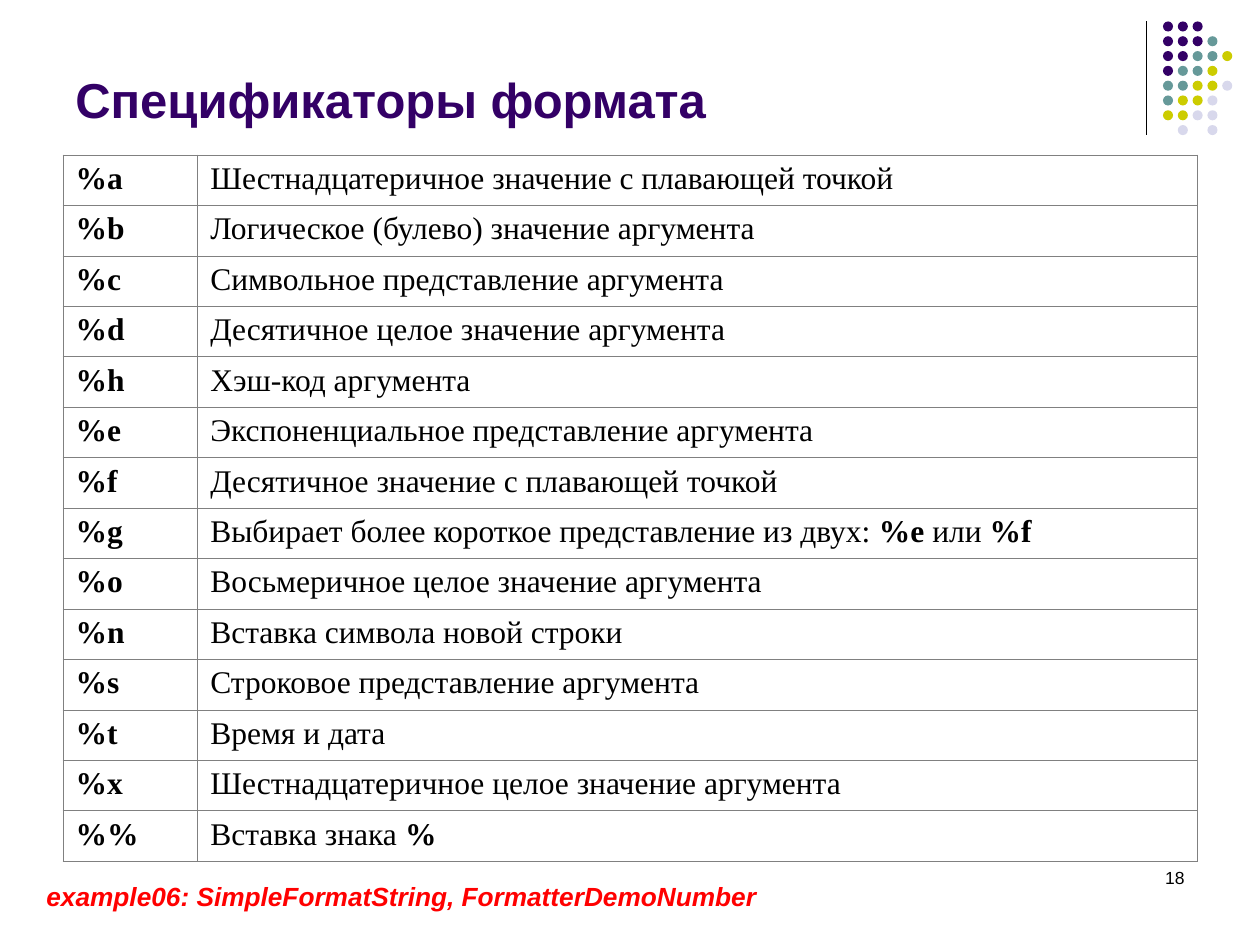
from dataclasses import dataclass

import pptx
import pptx.dml.color
import pptx.enum.shapes
import pptx.enum.text
import pptx.oxml
import pptx.oxml.ns
import pptx.slide
import pptx.table
import pptx.text.text
import pptx.util

Inches = pptx.util.Inches
Pt = pptx.util.Pt
Align = pptx.enum.text.PP_ALIGN
Anchor = pptx.enum.text.MSO_ANCHOR

DOT_ROWS = ["PPP", "PPPT", "PPTTY", "PTTY", "TTYYL", "TYYL", "YYLL", " L L"]
DOT_COLORS = {"P": "330066", "T": "669999", "Y": "CCCC00", "L": "D8D8EC"}
DOT_LEFT, DOT_TOP, DOT_SIZE = 9.23, 0.17, 0.08
DOT_PITCH = 0.47 / 4
COLUMN_WIDTHS = [1.07, 7.93]
ROW_HEIGHT = 0.4


@dataclass
class Specifier:
    code: str
    meaning: str


SPECIFIERS = [
    Specifier("%a", "Шестнадцатеричное значение с плавающей точкой"),
    Specifier("%b", "Логическое (булево) значение аргумента"),
    Specifier("%c", "Символьное представление аргумента"),
    Specifier("%d", "Десятичное целое значение аргумента"),
    Specifier("%h", "Хэш-код аргумента"),
    Specifier("%e", "Экспоненциальное представление аргумента"),
    Specifier("%f", "Десятичное значение с плавающей точкой"),
    Specifier("%g", "Выбирает более короткое представление из двух: *%е *или *%f*"),
    Specifier("%o", "Восьмеричное целое значение аргумента"),
    Specifier("%n", "Вставка символа новой строки"),
    Specifier("%s", "Строковое представление аргумента"),
    Specifier("%t", "Время и дата"),
    Specifier("%x", "Шестнадцатеричное целое значение аргумента"),
    Specifier("%%", "Вставка знака *%*"),
]


def color(value: str) -> pptx.dml.color.RGBColor:
    return pptx.dml.color.RGBColor.from_string(value)


def write_text(
    frame: pptx.text.text.TextFrame,
    text: str,
    *,
    size: float,
    font: str = "Arial",
    fill: str = "000000",
    bold: bool = False,
    italic: bool = False,
    align: Align = Align.LEFT,
) -> None:
    para = frame.paragraphs[0]
    para.alignment = align
    for index, part in enumerate(text.split("*")):
        if part:
            span = para.add_run()
            span.text = part
            span.font.name = font
            span.font.size = Pt(size)
            span.font.bold = bold or index % 2 == 1
            span.font.italic = italic
            span.font.color.rgb = color(fill)


def add_text(
    page: pptx.slide.Slide,
    text: str,
    left: float,
    top: float,
    width: float,
    height: float,
    anchor: Anchor = Anchor.TOP,
    **text_format,
) -> None:
    box = page.shapes.add_textbox(Inches(left), Inches(top), Inches(width), Inches(height))
    box.text_frame.word_wrap = True
    box.text_frame.vertical_anchor = anchor
    write_text(box.text_frame, text, **text_format)


def add_corner_rule(page: pptx.slide.Slide) -> None:
    rule = page.shapes.add_connector(
        pptx.enum.shapes.MSO_CONNECTOR.STRAIGHT,
        Inches(9.1), Inches(0.17), Inches(9.1), Inches(1.07),
    )
    rule.line.color.rgb = color("000000")
    rule.line.width = Pt(0.75)
    properties = rule._element.spPr
    properties.append(pptx.oxml.parse_xml(f"<a:effectLst {pptx.oxml.ns.nsdecls('a')}/>"))


def add_dots(page: pptx.slide.Slide) -> None:
    group = page.shapes.add_group_shape()
    for row, keys in enumerate(DOT_ROWS):
        for column, key in enumerate(keys):
            if key in DOT_COLORS:
                dot = group.shapes.add_shape(
                    pptx.enum.shapes.MSO_SHAPE.OVAL,
                    Inches(DOT_LEFT + column * DOT_PITCH),
                    Inches(DOT_TOP + row * DOT_PITCH),
                    Inches(DOT_SIZE),
                    Inches(DOT_SIZE),
                )
                dot.shadow.inherit = False
                dot.fill.solid()
                dot.fill.fore_color.rgb = color(DOT_COLORS[key])
                dot.line.fill.background()


def add_borders(cell: pptx.table._Cell, line: str, points: float) -> None:
    properties = cell._tc.get_or_add_tcPr()
    for index, side in enumerate("LRTB"):
        properties.insert(index, pptx.oxml.parse_xml(
            f'<a:ln{side} {pptx.oxml.ns.nsdecls("a")} w="{Pt(points)}">'
            f'<a:solidFill><a:srgbClr val="{line}"/></a:solidFill></a:ln{side}>'
        ))


def add_specifier_table(page: pptx.slide.Slide) -> None:
    table = page.shapes.add_table(
        len(SPECIFIERS), len(COLUMN_WIDTHS), Inches(0.5), Inches(1.23),
        Inches(sum(COLUMN_WIDTHS)), Inches(ROW_HEIGHT * len(SPECIFIERS)),
    ).table
    table.first_row = False
    table.horz_banding = False
    for column, width in zip(table.columns, COLUMN_WIDTHS):
        column.width = Inches(width)
    for row, specifier in zip(table.rows, SPECIFIERS):
        row.height = Inches(ROW_HEIGHT)
        texts = [specifier.code, specifier.meaning]
        for index, (cell, text) in enumerate(zip(row.cells, texts)):
            cell.fill.background()
            add_borders(cell, "808080", 0.45)
            write_text(cell.text_frame, text, size=18, font="Times New Roman", bold=index == 0)


def main() -> None:
    deck = pptx.Presentation()
    deck.slide_width = Inches(10)
    deck.slide_height = Inches(7.5)
    page = deck.slides.add_slide(deck.slide_layouts[6])
    add_corner_rule(page)
    add_dots(page)
    add_text(page, "18", 7.17, 6.83, 2.33, 0.5, size=10, align=Align.RIGHT)
    add_text(page, "Спецификаторы формата", 0.5, 0.13, 8.44, 0.94,
             anchor=Anchor.BOTTOM, size=28, fill="330066", bold=True)
    add_specifier_table(page)
    add_text(page, "example06: SimpleFormatString, FormatterDemoNumber",
             0.27, 6.94, 8.74, 0.35, size=15, fill="FF0000", bold=True, italic=True)
    deck.save("out.pptx")


if __name__ == "__main__":
    main()
